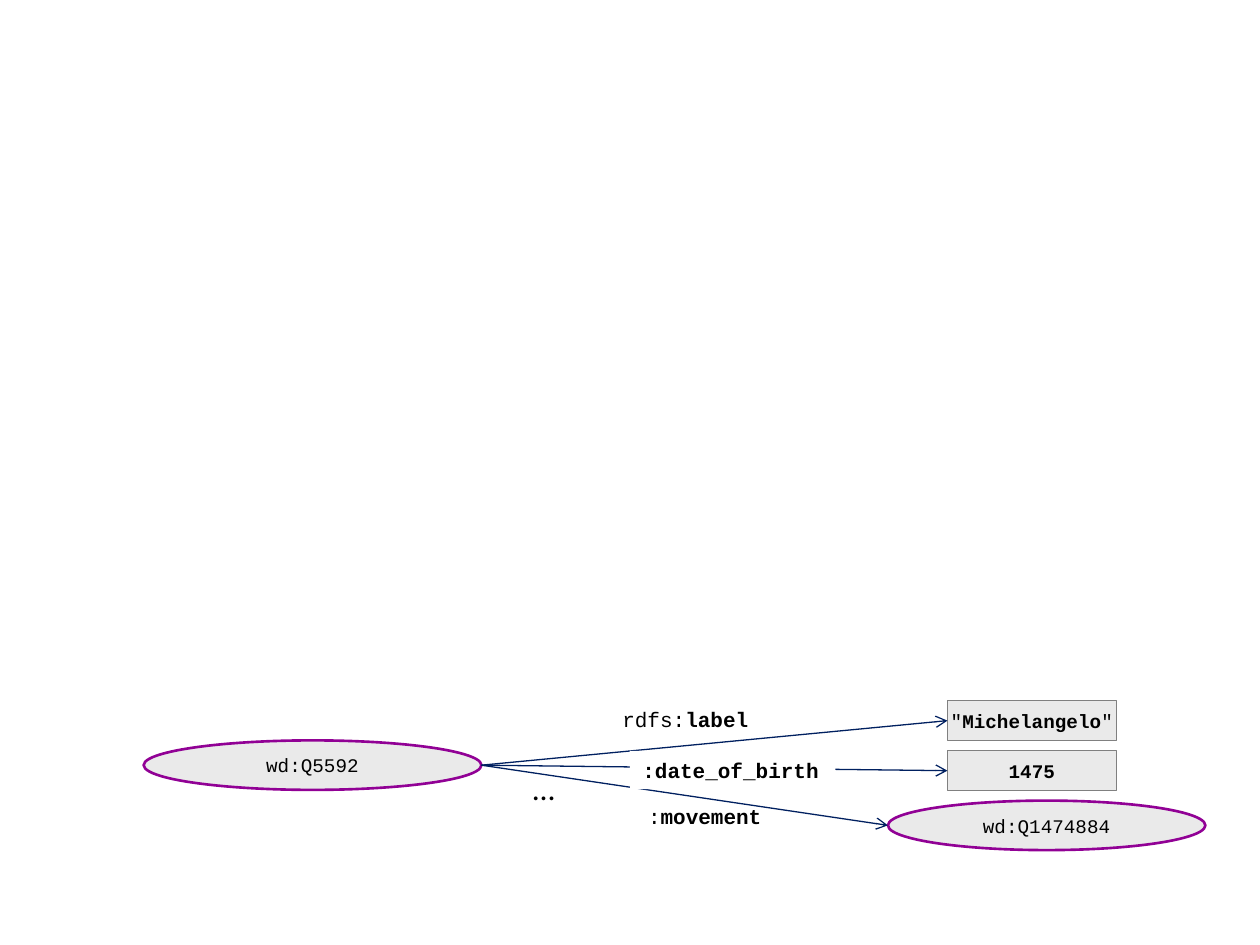
from dataclasses import dataclass

from lxml.etree import SubElement
from pptx import Presentation
from pptx.dml.color import RGBColor
from pptx.enum.shapes import MSO_CONNECTOR, MSO_SHAPE
from pptx.enum.text import MSO_ANCHOR, MSO_AUTO_SIZE, PP_ALIGN
from pptx.oxml.ns import qn
from pptx.slide import Slide
from pptx.util import Pt

BLACK = RGBColor(0x00, 0x00, 0x00)
WHITE = RGBColor(0xFF, 0xFF, 0xFF)
LIGHT_GREY = RGBColor(0xEA, 0xEA, 0xEA)
GREY = RGBColor(0x80, 0x80, 0x80)
PURPLE = RGBColor(0x91, 0x01, 0x95)
NAVY = RGBColor(0x00, 0x20, 0x60)

ROW_TOP = 400.3
ROW_STEP = 28.6


@dataclass
class GraphSlide:
    """Draws the nodes, arrows and labels of an RDF graph on one slide."""

    slide: Slide
    code_font: str = "Courier New"
    node_size: int = 11
    label_size: int = 12

    def add_spans(self, frame, spans, font_name, size):
        para = frame.paragraphs[0]
        for text, bold in spans:
            span = para.add_run()
            span.text = text
            span.font.name = font_name
            span.font.size = Pt(size)
            span.font.bold = bold
            span.font.color.rgb = BLACK
        return para

    def node(self, kind, left, top, width, height, spans, line_color, line_width):
        shape = self.slide.shapes.add_shape(kind, Pt(left), Pt(top), Pt(width), Pt(height))
        shape.shadow.inherit = False
        shape.fill.solid()
        shape.fill.fore_color.rgb = LIGHT_GREY
        shape.line.color.rgb = line_color
        shape.line.width = Pt(line_width)
        frame = shape.text_frame
        frame.margin_left = frame.margin_right = frame.margin_top = frame.margin_bottom = 0
        frame.vertical_anchor = MSO_ANCHOR.MIDDLE
        para = self.add_spans(frame, spans, self.code_font, self.node_size)
        para.alignment = PP_ALIGN.CENTER
        return shape

    def resource(self, left, top, width, name):
        return self.node(MSO_SHAPE.OVAL, left, top, width, 28.3, [(name, False)], PURPLE, 1.5)

    def literal(self, top, spans):
        return self.node(MSO_SHAPE.RECTANGLE, 541.4, top, 96.5, 23, spans, GREY, 0.75)

    def arrow(self, source, target, joined):
        connector = self.slide.shapes.add_connector(
            MSO_CONNECTOR.STRAIGHT,
            source.left + source.width, source.top + source.height // 2,
            target.left, target.top + target.height // 2)
        if joined:
            connector.end_connect(target, 1)
        connector.line.color.rgb = NAVY
        connector.line.width = Pt(0.75)
        properties = connector._element.spPr
        SubElement(properties.find(qn("a:ln")), qn("a:tailEnd"), type="arrow")
        SubElement(properties, qn("a:effectLst"))

    def label(self, left, top, width, height, spans, font_name=None, size=None, fill=None):
        box = self.slide.shapes.add_textbox(Pt(left), Pt(top), Pt(width), Pt(height))
        if fill is not None:
            box.fill.solid()
            box.fill.fore_color.rgb = fill
        box.text_frame.word_wrap = False
        box.text_frame.auto_size = MSO_AUTO_SIZE.SHAPE_TO_FIT_TEXT
        self.add_spans(box.text_frame, spans, font_name or self.code_font, size or self.label_size)


def main():
    deck = Presentation()
    deck.slide_width, deck.slide_height = Pt(720), Pt(540)
    graph = GraphSlide(deck.slides.add_slide(deck.slide_layouts[6]))

    name_top, birth_top, movement_top = (ROW_TOP + ROW_STEP * row for row in range(3))
    artist = graph.resource(82.1, 423.1, 193, "wd:Q5592")
    name = graph.literal(name_top, [('"', False), ("Michelangelo", True), ('"', False)])
    birth = graph.literal(birth_top, [("1475", True)])
    movement = graph.resource(507.4, movement_top, 181.4, "wd:Q1474884")

    for target, joined in ((name, True), (birth, True), (movement, False)):
        graph.arrow(artist, target, joined)

    graph.label(348.5, 400.3, 87.8, 21.8, [("rdfs:", False), ("label", True)])
    graph.label(360, 429.1, 117.4, 21.8, [(":date_of_birth", True)], fill=WHITE)
    graph.label(363.2, 455.8, 80.6, 21.8, [(":", False), ("movement", True)])
    graph.label(297.4, 435.6, 28.8, 29, [("…", False)], font_name="Calibri", size=18)

    deck.save("out.pptx")


if __name__ == "__main__":
    main()
